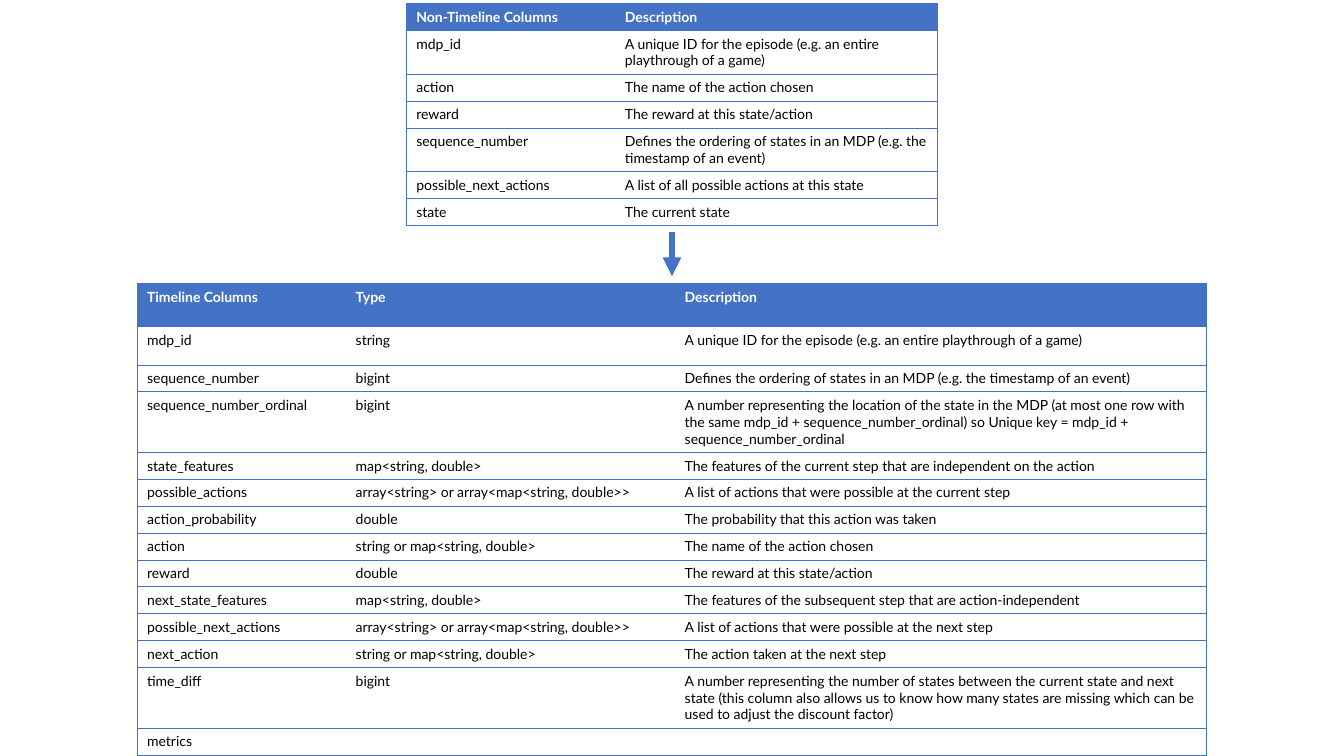
from pptx import Presentation
from pptx.util import Pt
from pptx.dml.color import RGBColor as RGB
from pptx.enum.shapes import MSO_CONNECTOR as Conn
from pptx.oxml.ns import qn
from lxml.etree import SubElement as Sub

color = {"blue": "4472C4", "white": "FFFFFF", "black": "000000"}
font = "Lato"
size = 10
episode = "A unique ID for the episode (e.g. an entire playthrough of a game)"
order = "Defines the ordering of states in an MDP (e.g. the timestamp of an event)"
chosen = "The name of the action chosen"
prize = "The reward at this state/action"
single, double, triple = 19.2, 31.2, 43.2

source = [
    (single, "Non-Timeline Columns", "Description"),
    (double, "mdp_id", episode),
    (single, "action", chosen),
    (single, "reward", prize),
    (double, "sequence_number", order),
    (single, "possible_next_actions", "A list of all possible actions at this state"),
    (single, "state", "The current state"),
]
timeline = [
    (31, "Timeline Columns", "Type", "Description"),
    (27.3, "mdp_id", "string", episode),
    (single, "sequence_number", "bigint", order),
    (triple, "sequence_number_ordinal", "bigint",
     "A number representing the location of the state in the MDP (at most one row with "
     "the same mdp_id + sequence_number_ordinal) so Unique key = mdp_id + sequence_number_ordinal"),
    (single, "state_features", "map<string, double>",
     "The features of the current step that are independent on the action"),
    (single, "possible_actions", "array<string> or array<map<string, double>>",
     "A list of actions that were possible at the current step"),
    (single, "action_probability", "double", "The probability that this action was taken"),
    (single, "action", "string or map<string, double>", chosen),
    (single, "reward", "double", prize),
    (single, "next_state_features", "map<string, double>",
     "The features of the subsequent step that are action-independent"),
    (single, "possible_next_actions", "array<string> or array<map<string, double>>",
     "A list of actions that were possible at the next step"),
    (single, "next_action", "string or map<string, double>", "The action taken at the next step"),
    (triple, "time_diff", "bigint",
     "A number representing the number of states between the current state and next state "
     "(this column also allows us to know how many states are missing which can be used to "
     "adjust the discount factor)"),
    (single, "metrics", "", ""),
]


def border(cell, sides):
    props = cell._tc.get_or_add_tcPr()
    for side in "LRTB":
        line = Sub(props, qn("a:ln" + side), w=str(Pt(0.5)))
        if side in sides:
            fill = Sub(line, qn("a:solidFill"))
            Sub(fill, qn("a:srgbClr"), val=color["blue"])
        else:
            Sub(line, qn("a:noFill"))


deck = Presentation()
deck.slide_width, deck.slide_height = Pt(960), Pt(540)
slide = deck.slides.add_slide(deck.slide_layouts[6])

for left, top, widths, rows in [
    (290.2, 2.5, (149, 230.4), source),
    (97.9, 202.3, (149, 235, 380), timeline),
]:
    height = sum(row[0] for row in rows)
    frame = slide.shapes.add_table(len(rows), len(widths), Pt(left), Pt(top),
                                   Pt(sum(widths)), Pt(height))
    table = frame.table
    table.horz_banding = False
    for col, width in zip(table.columns, widths):
        col.width = Pt(width)
    for r, (tall, *texts) in enumerate(rows):
        table.rows[r].height = Pt(tall)
        for c, text in enumerate(texts):
            cell = table.cell(r, c)
            sides = "TB" + ("L" if c == 0 else "") + ("R" if c == len(texts) - 1 else "")
            border(cell, sides)
            if r == 0:
                cell.fill.solid()
                cell.fill.fore_color.rgb = RGB.from_string(color["blue"])
            else:
                cell.fill.background()
            par = cell.text_frame.paragraphs[0]
            if text:
                run = par.add_run()
                run.text = text
                run.font.name = font
                run.font.size = Pt(size)
                run.font.bold = r == 0
                run.font.color.rgb = RGB.from_string(color["white" if r == 0 else "black"])
            else:
                Sub(par._p, qn("a:endParaRPr"), sz=str(size * 100))

arrow = slide.shapes.add_connector(Conn.STRAIGHT, Pt(480), Pt(165.6), Pt(480), Pt(197.3))
arrow.line.color.rgb = RGB.from_string(color["blue"])
arrow.line.width = Pt(4.5)
Sub(arrow.line._get_or_add_ln(), qn("a:tailEnd"), type="triangle")
Sub(arrow._element.spPr, qn("a:effectLst"))

deck.save("out.pptx")
